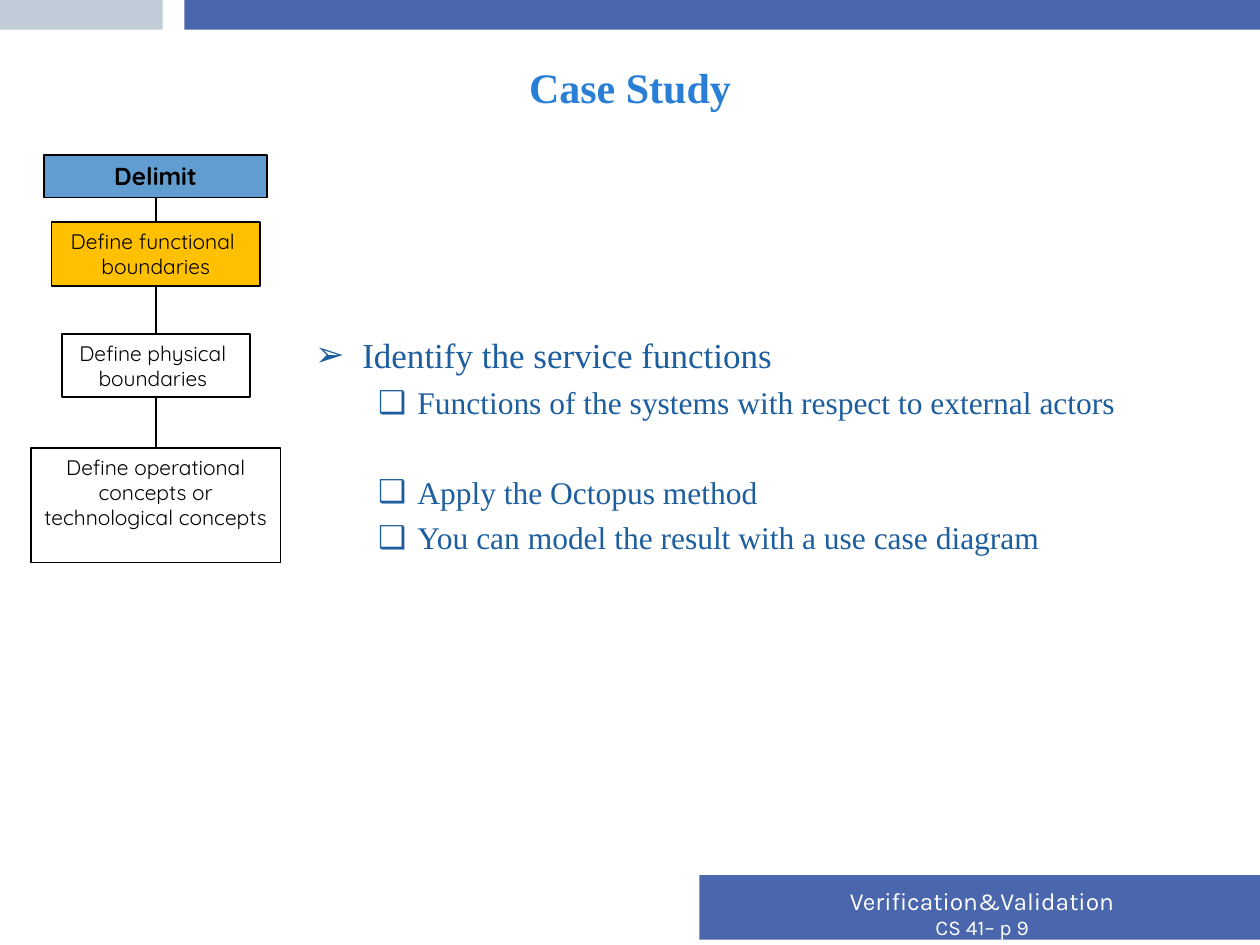
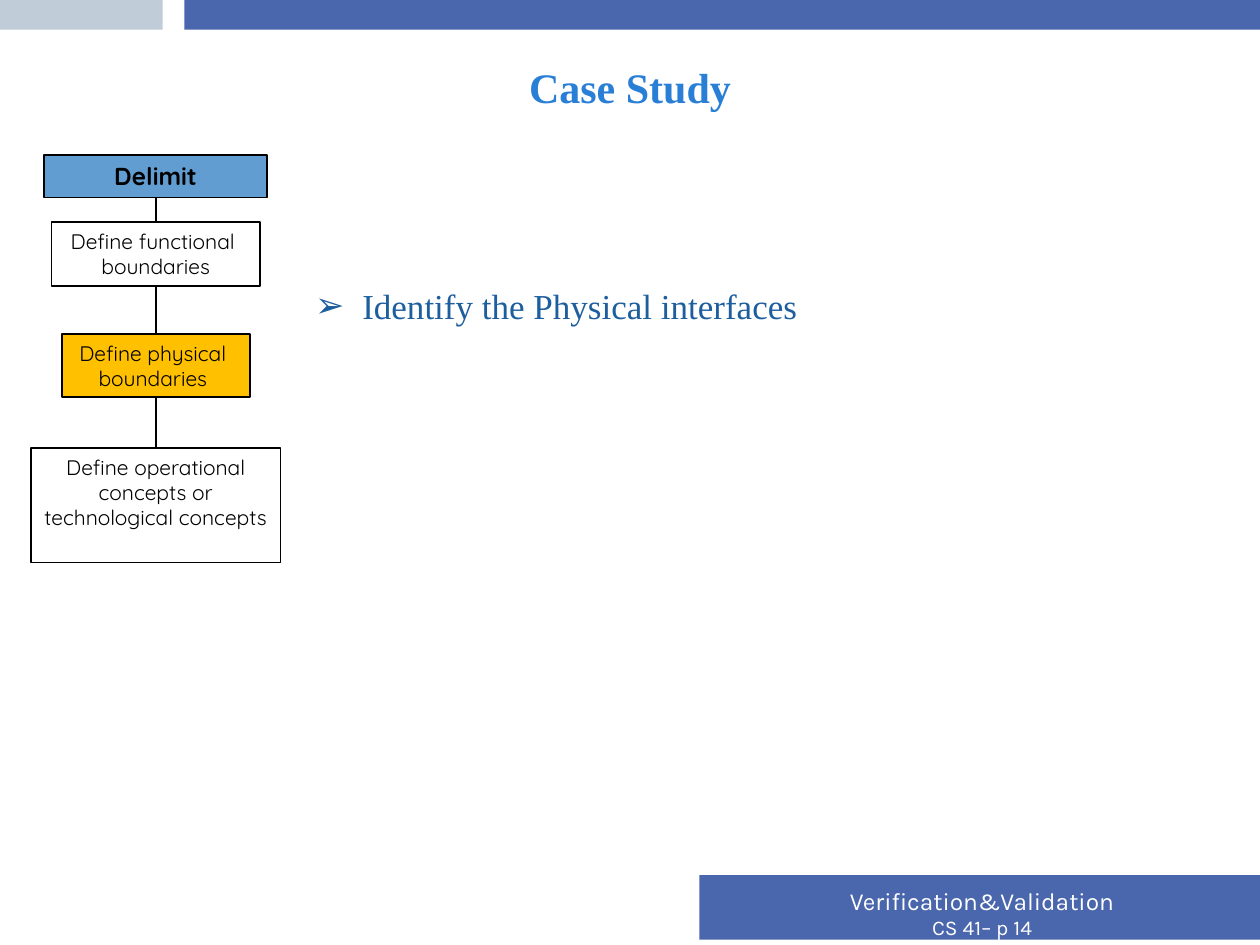
from lxml.etree import SubElement
from pptx import Presentation
from pptx.dml.color import RGBColor
from pptx.enum.shapes import MSO_CONNECTOR, MSO_SHAPE
from pptx.enum.text import MSO_ANCHOR, MSO_AUTO_SIZE, PP_ALIGN
from pptx.oxml.ns import qn
from pptx.util import Pt

rgb = RGBColor.from_string
BLACK, WHITE = "000000", "FFFFFF"
BAND_BLUE, BAND_GREY = "4A66AC", "C0CCD8"
HEADER_BLUE, HIGHLIGHT = "629DD1", "FFC000"

TITLE_FORMAT = {"name": "Times New Roman", "size": Pt(24), "bold": True}
BULLET_FORMATS = [
    {"name": "Times New Roman", "size": Pt(20), "bold": False},
    {"name": "Times New Roman", "size": Pt(18), "bold": False},
]
HEADER_FORMAT = {"name": "Quicksand", "size": Pt(14), "bold": True}
STEP_FORMAT = {"name": "Quicksand", "size": Pt(12), "bold": False}

# left, top, width, height, colour
BANDS = [
    (105.3, 0, 614.7, 17, BAND_BLUE),
    (0, 0, 93, 17, BAND_GREY),
    (399.6, 500, 320.4, 37, BAND_BLUE),
]

# lines, top, width, height, text wraps
FLOW_CENTRE = 89
FLOW = [
    (["Delimit"], 88.5, 127.5, 24.5, True),
    (["Define functional ", "boundaries"], 127, 119, 36.5, False),
    (["Define physical ", "boundaries "], 191, 107.5, 36, False),
    (["Define operational concepts or technological concepts"], 256, 142.5, 65.5, True),
]

# character, left margin and hanging indent for each level
BULLETS = [("➢", 27, -27), ("❑", 58.5, -22.5)]

# page, highlighted step, top of the list, (level, space before, text)
SLIDES = [
    (9, 1, 187, [
        (0, 0, "Identify the service functions"),
        (1, 4.4, "Functions of the systems with respect to external actors"),
        (1, 29.5, "Apply the Octopus method"),
        (1, 4.4, "You can model the result with a use case diagram"),
    ]),
    (14, 2, 159, [(0, 0, "Identify the Physical interfaces")]),
]


def write(paragraph, text, colour, font_format):
    run = paragraph.add_run()
    run.text = text
    run.font.color.rgb = rgb(colour)
    for attribute, value in font_format.items():
        setattr(run.font, attribute, value)


def add_rectangle(slide, left, top, width, height, fill):
    rectangle = slide.shapes.add_shape(
        MSO_SHAPE.RECTANGLE, Pt(left), Pt(top), Pt(width), Pt(height))
    rectangle.shadow.inherit = False
    rectangle.fill.solid()
    rectangle.fill.fore_color.rgb = rgb(fill)
    rectangle.line.fill.background()
    return rectangle


presentation = Presentation()
presentation.slide_width, presentation.slide_height = Pt(720), Pt(540)

for page, highlighted, list_top, items in SLIDES:
    slide = presentation.slides.add_slide(presentation.slide_layouts[1])

    for band in BANDS:
        add_rectangle(slide, *band)

    footer = slide.shapes.add_textbox(Pt(399.6), Pt(502.5), Pt(323.3), Pt(39)).text_frame
    footer.word_wrap = True
    for index, (line, size) in enumerate([("Verification&Validation", 14), (f"CS 41– p {page}", 12)]):
        paragraph = footer.add_paragraph() if index else footer.paragraphs[0]
        paragraph.alignment = PP_ALIGN.CENTER
        write(paragraph, line, WHITE, {"name": "Karla", "size": Pt(size)})

    title = slide.shapes.title
    title.left, title.top, title.width, title.height = Pt(36), Pt(21.6), Pt(648), Pt(55.5)
    title.text_frame.vertical_anchor = MSO_ANCHOR.MIDDLE
    title.text_frame.paragraphs[0].alignment = PP_ALIGN.CENTER
    write(title.text_frame.paragraphs[0], "Case Study", "297FD5", TITLE_FORMAT)

    tasks = slide.placeholders[1]
    tasks.left, tasks.top, tasks.width, tasks.height = (
        Pt(172.8), Pt(list_top), Pt(505.5), Pt(488 - list_top))
    tasks.text_frame.auto_size = MSO_AUTO_SIZE.NONE
    for index, (level, space_before, text) in enumerate(items):
        paragraph = tasks.text_frame.add_paragraph() if index else tasks.text_frame.paragraphs[0]
        paragraph.level = level
        paragraph.space_before = Pt(space_before)
        character, margin, indent = BULLETS[level]
        properties = paragraph._p.get_or_add_pPr()
        properties.set("marL", str(Pt(margin)))
        properties.set("indent", str(Pt(indent)))
        SubElement(properties, qn("a:buChar"), char=character)
        write(paragraph, text, "1C5E9E", BULLET_FORMATS[level])

    steps = []
    for index, (lines, top, width, height, wraps) in enumerate(FLOW):
        fill = HEADER_BLUE if index == 0 else HIGHLIGHT if index == highlighted else WHITE
        step = add_rectangle(slide, FLOW_CENTRE - width / 2, top, width, height, fill)
        step.line.color.rgb = rgb(BLACK)
        step.line.width = Pt(1)
        step.text_frame.word_wrap = wraps
        step.text_frame.vertical_anchor = MSO_ANCHOR.TOP
        for number, line in enumerate(lines):
            paragraph = step.text_frame.add_paragraph() if number else step.text_frame.paragraphs[0]
            paragraph.alignment = PP_ALIGN.CENTER
            write(paragraph, line, BLACK, STEP_FORMAT if index else HEADER_FORMAT)
        steps.append(step)

    for upper, lower in zip(steps, steps[1:]):
        link = slide.shapes.add_connector(MSO_CONNECTOR.STRAIGHT, 0, 0, 0, 0)
        link.begin_connect(upper, 2)
        link.end_connect(lower, 0)
        link.line.color.rgb = rgb(BLACK)
        link.line.width = Pt(1)
        SubElement(link._element.spPr, qn("a:effectLst"))

presentation.save("out.pptx")
